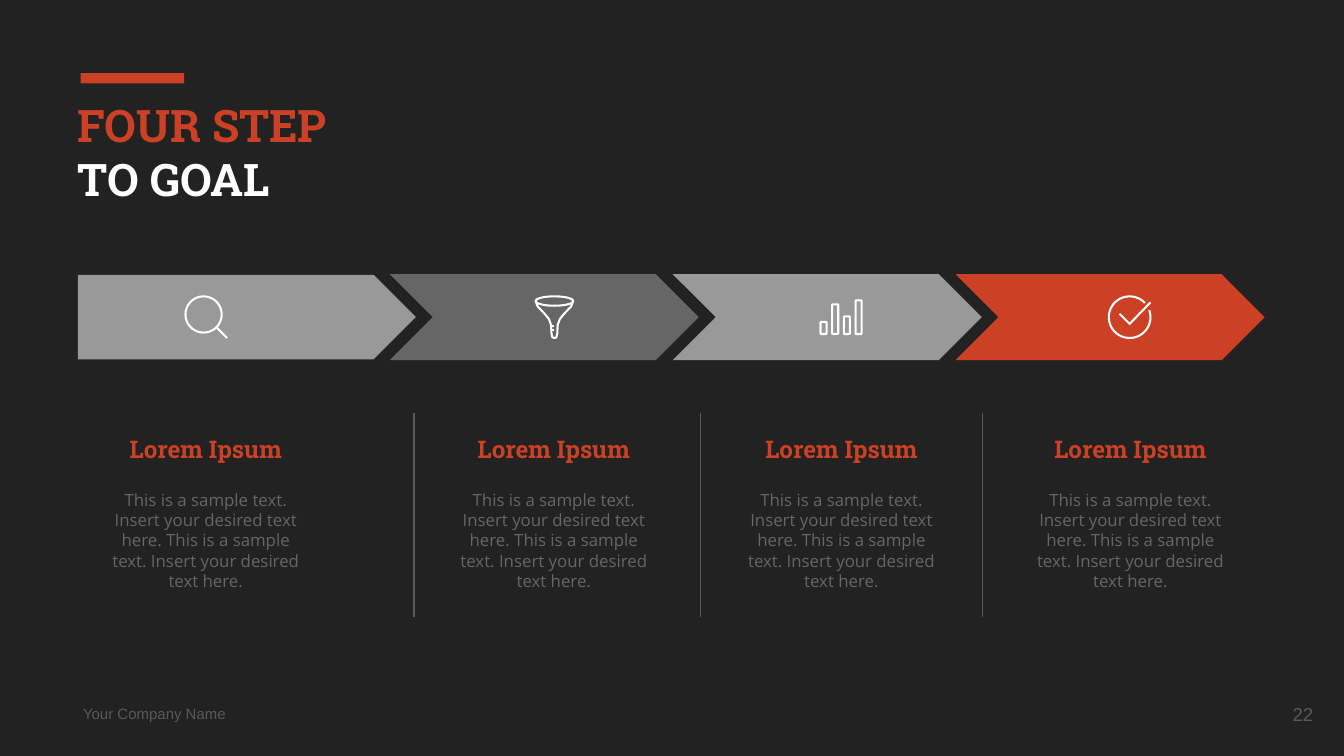
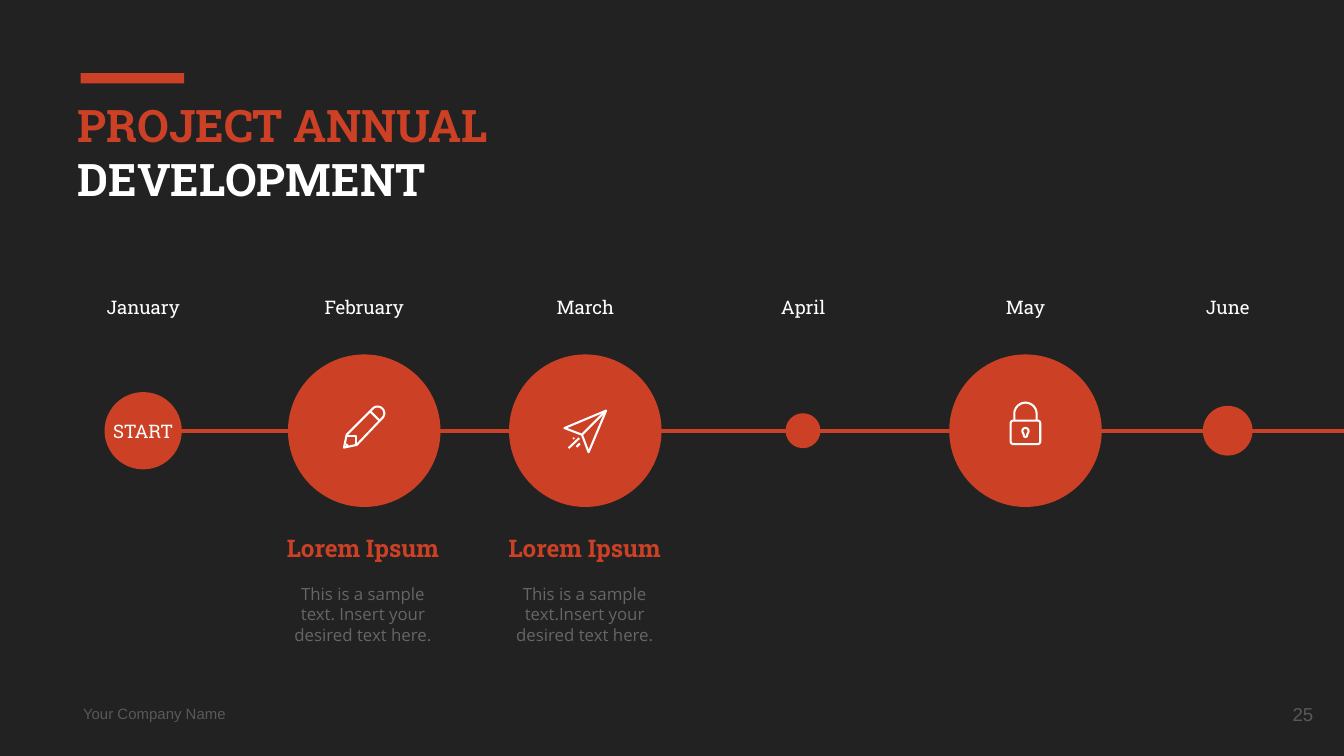
from math import cos, sin, radians
from lxml import etree
from pptx import Presentation
from pptx import util as u
from pptx.dml.color import RGBColor
from pptx.enum import shapes, text
from pptx.oxml import ns

KIND, ALIGN = shapes.MSO_SHAPE, text.PP_ALIGN


class Theme:
    back, red, white = "222222", "CC4125", "FFFFFF"
    pale, mid, dim = "999999", "666666", "595959"
    slab = "Roboto Slab"
    fonts = {
        "lead": dict(name=slab, size=24, bold=True, color=red),
        "rest": dict(name=slab, size=24, bold=True, color=white),
        "head": dict(name=slab, size=13, bold=True, color=red),
        "month": dict(name=slab, size=10, bold=False, color=white),
        "body": dict(name="Open Sans", size=9, bold=False, color=mid),
        "foot": dict(name="Arial", size=8, bold=False, color=dim),
        "page": dict(name="Arial", size=10, bold=False, color=dim),
    }


# Strokes of the icons, in hundredths of an inch from the icon's centre
def arc(x, y, rx, ry=None, start=0, end=360, steps=36):
    ry = ry or rx
    turns = [radians(start + (end - start) * i / steps) for i in range(steps + 1)]
    return [(x + rx * cos(t), y + ry * sin(t)) for t in turns]


def box(left, top, right, low, r=0.5):
    spots = [(right - r, low - r), (left + r, low - r),
             (left + r, top + r), (right - r, top + r)]
    pts = [p for i, (x, y) in enumerate(spots)
           for p in arc(x, y, r, start=90 * i, end=90 * i + 90, steps=6)]
    return pts + pts[:1]


side = [(-14, -12), (-12.5, -8), (-7.5, -2.8), (-4, 1.5), (-2.4, 6),
        (-2.2, 12), (-1.5, 15), (0, 15.5)]
lens = [arc(-2, -2, 13.5), [(7.5, 7.5), (15.5, 15.5)]]
funnel = [arc(0, -12, 14, 3.5), side + [(-x, y) for x, y in side[-2::-1]],
          [(-2.2, 6.5), (-0.5, 6.5)], [(-2.2, 9.5), (-0.5, 9.5)]]
bars = [box(-15.5 + 8.7 * i, top, -11 + 8.7 * i, 12.5)
        for i, top in enumerate((3.5, -9.5, -0.5, -12.5))]
check = [arc(0, 0, 15.5, start=-20, end=317), [(-7.5, -2.5), (0, 5), (15.5, -11)]]
pencil = [[(-15, 15), (-13, 5.5)] + arc(10, -10.5, 5, start=-135, end=45)
          + [(-5.5, 13), (-15, 15)],
          [(4.5, -12), (11.5, -5)], [(-13, 6.2), (-6, 6.2), (-6, 13)],
          [(-13.5, 12.5), (-12, 14)]]
plane = [[(-15.5, -2.5), (15.5, -15.5), (2.5, 15.5), (-2.5, 2.5), (-15.5, -2.5)],
         [(-2.5, 2.5), (15.5, -15.5)], [(-12.5, 12.5), (-4.5, 5)],
         [(-6.5, 11.5), (-4, 9)], [(-9, 5.5), (-8.3, 4.8)]]
hole = arc(0, 5.8, 2.3, start=140, end=400) + arc(0, 9, 1.2, start=0, end=180)
lock = [box(-11, -2, 11, 15.5, 2), hole + hole[:1],
        [(-8.3, -2)] + arc(0, -7, 8.3, start=180, end=360) + [(8.3, -2)]]


class Deck:
    """Places elements on a square grid, 100 columns to the slide's width."""

    def __init__(self, theme):
        self.th = theme
        self.prs = Presentation()
        self.prs.slide_width, self.prs.slide_height = u.Inches(10), u.Inches(5.625)
        self.cell = self.prs.slide_width / 100
        self.paint(self.prs.slide_master.background.fill, theme.back)

    def grid(self, *vals):
        return [round(v * self.cell) for v in vals]

    def paint(self, fill, color):
        fill.solid()
        fill.fore_color.rgb = RGBColor.from_string(color)

    def put(self, frame, lines, style, align=ALIGN.LEFT, anchor="MIDDLE"):
        """Fill a frame; each line may name its own style as a pair."""
        form = dict(word_wrap=True, auto_size=text.MSO_AUTO_SIZE.NONE,
                    vertical_anchor=text.MSO_ANCHOR[anchor])
        form |= {f"margin_{s}": u.Inches(0.1)
                 for s in ("left", "top", "right", "bottom")}
        for key, val in form.items():
            setattr(frame, key, val)
        for i, line in enumerate(lines):
            words, kind = line if isinstance(line, tuple) else (line, style)
            par = frame.add_paragraph() if i else frame.paragraphs[0]
            par.alignment = align
            run = par.add_run()
            run.text = words
            for key, val in self.th.fonts[kind].items():
                if key == "color":
                    run.font.color.rgb = RGBColor.from_string(val)
                else:
                    setattr(run.font, key, u.Pt(val) if key == "size" else val)

    def label(self, x, y, w, h, lines, style, align=ALIGN.CENTER):
        lines = [lines] if isinstance(lines, str) else lines
        item = self.page.shapes.add_textbox(*self.grid(x, y, w, h))
        self.put(item.text_frame, lines, style, align)

    def shape(self, kind, x, y, w, h, color):
        item = self.page.shapes.add_shape(kind, *self.grid(x, y, w, h))
        item.shadow.inherit = False
        self.paint(item.fill, color)
        item.line.fill.background()

    def line(self, x1, y1, x2, y2, color, width):
        item = self.page.shapes.add_connector(
            shapes.MSO_CONNECTOR.STRAIGHT, *self.grid(x1, y1, x2, y2))
        item.line.width = u.Pt(width)
        item.line.color.rgb = RGBColor.from_string(color)
        etree.SubElement(item._element.spPr, ns.qn("a:effectLst"))

    def icon(self, x, y, strokes):
        """Draw all strokes as one open outline centred on x, y."""
        trails = [[self.grid(x + a / 10, y + b / 10) for a, b in s] for s in strokes]
        pen = self.page.shapes.build_freeform(*trails[0][0])
        for i, pts in enumerate(trails):
            if i:
                pen.move_to(*pts[0])
            pen.add_line_segments(pts[1:], close=pts[0] == pts[-1])
        item = pen.convert_to_shape()
        item.shadow.inherit = False
        item.fill.background()
        item.line.width = u.Pt(1.1)
        item.line.color.rgb = RGBColor.from_string(self.th.white)

    def start(self, lead, rest, num):
        """Begin a slide with its bar, title, footer and number."""
        self.page = self.prs.slides.add_slide(self.prs.slide_layouts[5])
        title = self.page.shapes.title
        spots = self.grid(4.8, 6.3, 45.1, 11.6)
        for key, val in zip(("left", "top", "width", "height"), spots):
            setattr(title, key, val)
        self.put(title.text_frame, [(lead, "lead"), (rest, "rest")],
                 "lead", anchor="TOP")
        self.shape(KIND.RECTANGLE, 6, 5.45, 7.7, 0.75, self.th.red)
        self.label(5.2, 51.8, 16.7, 2.6, "Your Company Name", "foot", ALIGN.LEFT)
        self.label(92.7, 51, 6, 4.3, str(num), "page", ALIGN.RIGHT)


def steps(deck):
    th = deck.th
    deck.start("FOUR STEP", "TO GOAL", 22)
    # Arrow band
    deck.shape(KIND.PENTAGON, 5.8, 20.45, 25.15, 6.3, th.pale)
    for i, color in enumerate((th.mid, th.pale, th.red)):
        deck.shape(KIND.CHEVRON, 29 + 21.05 * i, 20.4, 23, 6.4, color)
    for x, art in zip((15.35, 41.25, 62.6, 84.05), (lens, funnel, bars, check)):
        deck.icon(x, 23.6, art)
    # Text columns and their dividers
    words = ["This is a sample text.", "Insert your desired text here. "
             "This is a sample text. Insert your desired text here."]
    for x in (6.7, 32.6, 54, 75.5):
        deck.label(x, 32.6, 17.2, 1.6, "Lorem Ipsum", "head")
        deck.label(x, 36.2, 17.2, 8, words, "body")
    for x in (30.8, 52.1, 73.1):
        deck.line(x, 30.7, x, 45.9, th.dim, 0.75)


def months(deck):
    th, axis = deck.th, 32.05
    deck.start("PROJECT ANNUAL", "DEVELOPMENT", 25)
    # Timeline: month, centre, diameter, icon and its height
    deck.line(11.6, axis, 100, axis, th.red, 2.25)
    stops = [("January", 10.65, 5.75, None, 0), ("February", 27.1, 11.35, pencil, 31.8),
             ("March", 43.55, 11.35, plane, 32.1), ("April", 59.75, 2.6, None, 0),
             ("May", 76.3, 11.35, lock, 31.5), ("June", 91.35, 3.7, None, 0)]
    for name, x, d, art, y in stops:
        deck.shape(KIND.OVAL, x - d / 2, axis - d / 2, d, d, th.red)
        deck.label(x - 5, 21.8, 10, 2.1, name, "month")
        if art:
            deck.icon(x, y, art)
    deck.label(7.3, 31, 6.7, 2.1, "START", "month")
    # Notes under the large stops
    for x, gap in ((27, " "), (43.5, "")):
        deck.label(x - 8, 39.7, 16, 2.1, "Lorem Ipsum", "head")
        deck.label(x - 6.7, 42.4, 13.4, 6.6,
                   f"This is a sample text.{gap}Insert your desired text here.", "body")


def main():
    deck = Deck(Theme)
    steps(deck)
    months(deck)
    deck.prs.save("out.pptx")


if __name__ == "__main__":
    main()
